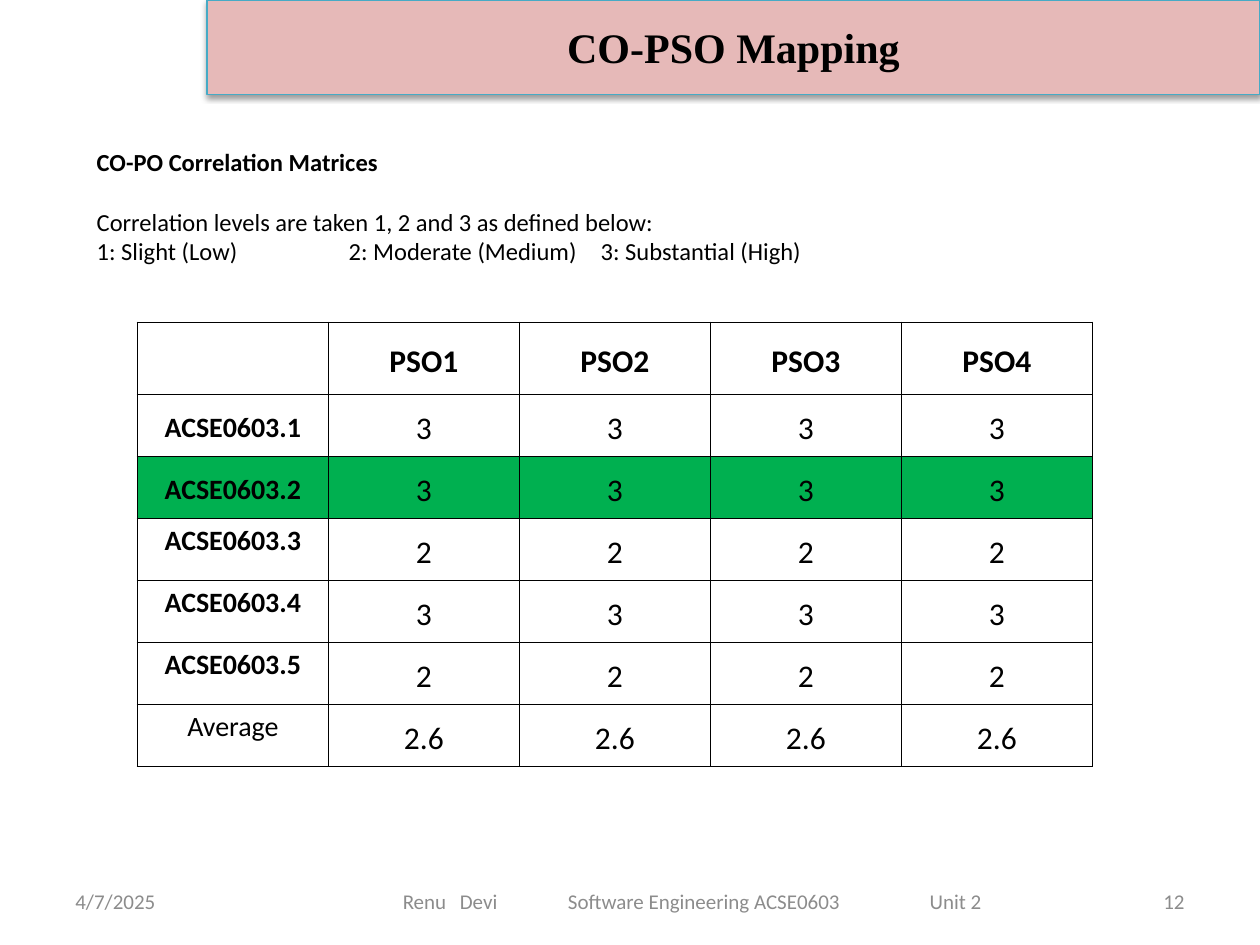
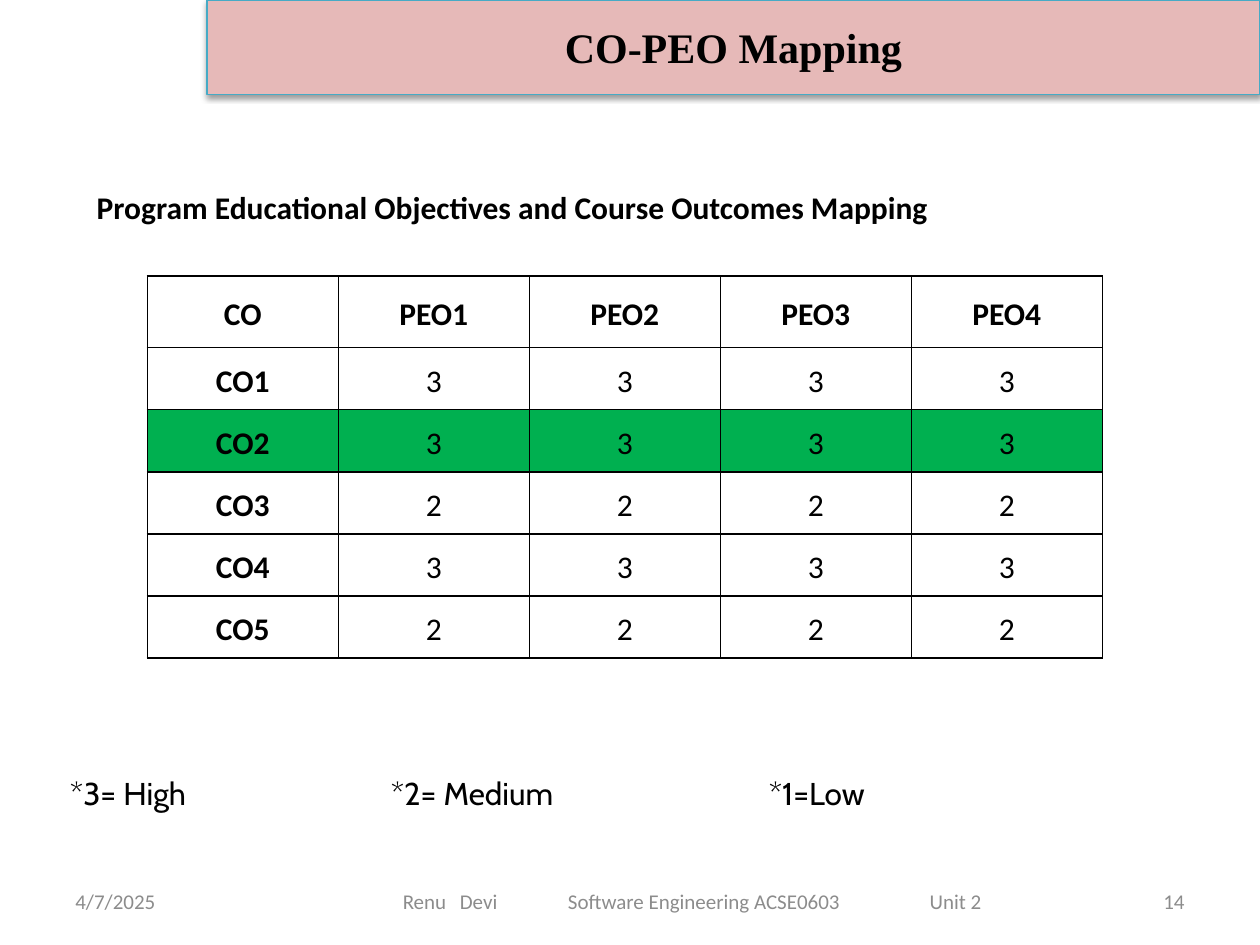
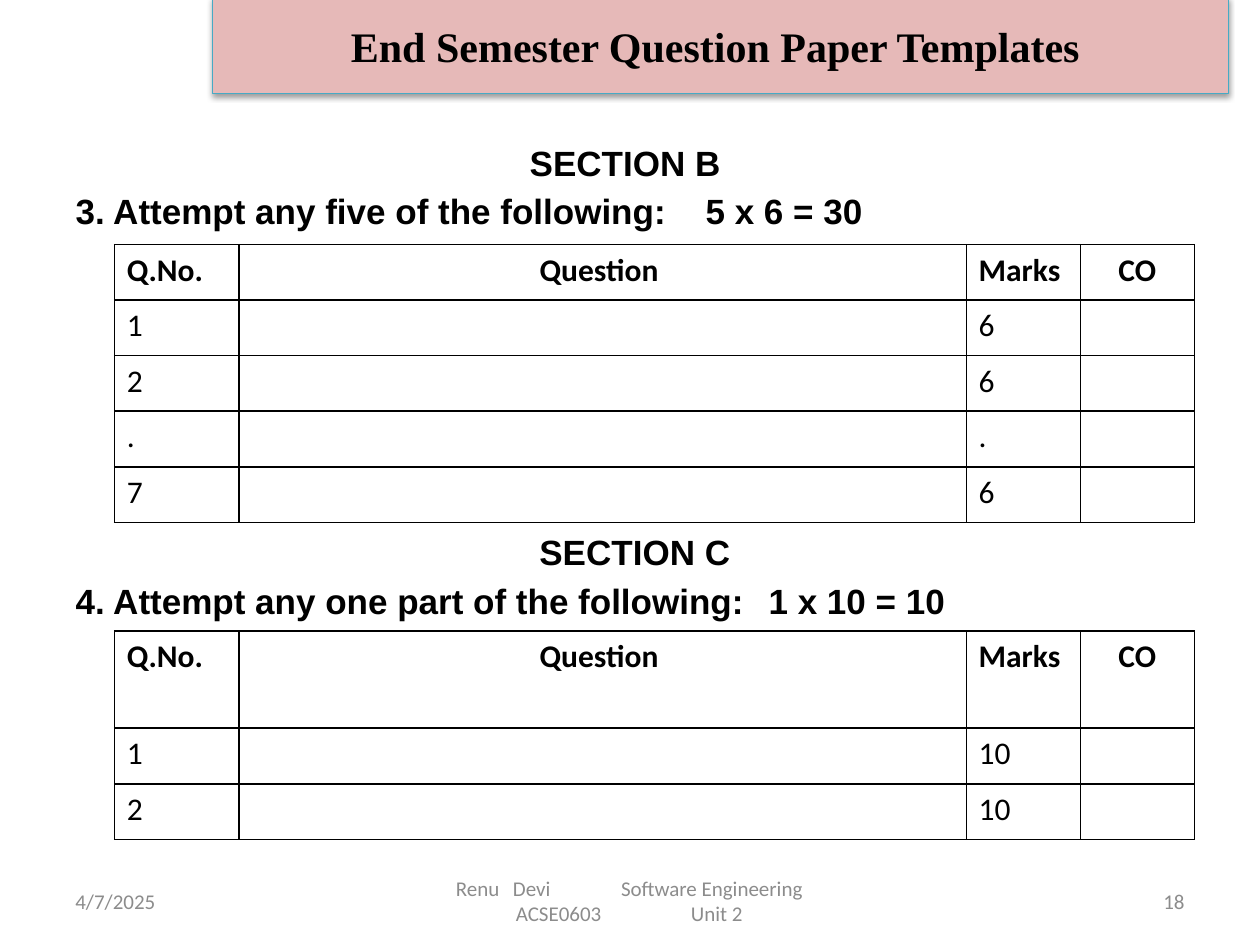
from lxml import etree
from pptx import Presentation
from pptx.dml.color import RGBColor
from pptx.enum.text import MSO_ANCHOR, MSO_AUTO_SIZE, PP_ALIGN
from pptx.oxml import parse_xml
from pptx.oxml.ns import nsdecls, qn
from pptx.util import Cm, Pt

LEFT, MID, RIGHT = PP_ALIGN.LEFT, PP_ALIGN.CENTER, PP_ALIGN.RIGHT
TOP, CENTRE = MSO_ANCHOR.TOP, MSO_ANCHOR.MIDDLE
FIXED = MSO_AUTO_SIZE.NONE

BLACK, WHITE, GREY = "000000", "FFFFFF", "8C8C8C"
PINK, TEAL, GREEN = "E6B9B8", "46AAC5", "00B050"

BAND = (4.17, 0, 21.23, 1.9)
FOOT_TOP, FOOT_TALL = 17.65, 1.02
PAD = (0.25, 0.13, 0.25, 0.13)
THIN = (0.18, 0, 0.18, 0)
NOTE = (0.76, 0.13, 0.25, 0)
LINE_STOPS = (1.15, 3.33, 10.62)
WIDE_FOOT = (6.98, 13.97, 1.14, [
    ("Renu\tDevi\tSoftware Engineering ACSE0603\tUnit 2", LINE_STOPS)])
SLIM_FOOT = (8.69, 8.05, 0.5, [
    ("Renu\tDevi\tSoftware Engineering", LINE_STOPS),
    ("\tACSE0603\tUnit 2", (1.21, 4.74))])


def paint(item, code):
    """Set a solid colour on a fill or a font colour."""
    if hasattr(item, "solid"):
        item.solid()
        item = item.fore_color
    item.rgb = RGBColor.from_string(code)


def write(frame, text, size=18, font="Calibri", color=BLACK, bold=False,
          align=LEFT, before=None, after=None, line=None, stops=(),
          plain=False):
    """Add one paragraph; stops are tab positions in cm, plain drops the bullet."""
    para = frame.add_paragraph() if frame.text else frame.paragraphs[0]
    para.alignment = align
    para.line_spacing = line
    if before is not None:
        para.space_before = Pt(before)
    if after is not None:
        para.space_after = Pt(after)
    props = para._p.get_or_add_pPr()
    if plain:
        props.set("marL", "0")
        props.set("indent", "0")
        etree.SubElement(props, qn("a:buNone"))
    if stops:
        tabs = etree.SubElement(props, qn("a:tabLst"))
        for stop in stops:
            etree.SubElement(tabs, qn("a:tab"), pos=str(Cm(stop)), algn="l")
    run = para.add_run()
    run.text = text
    run.font.size, run.font.name, run.font.bold = Pt(size), font, bold
    paint(run.font.color, color)


def inset(item, pad):
    """Set the margins of a text frame or a cell."""
    (item.margin_left, item.margin_top,
     item.margin_right, item.margin_bottom) = map(Cm, pad)


def place(shape, box):
    shape.left, shape.top, shape.width, shape.height = map(Cm, box)


def add_box(slide, box, pad=PAD):
    frame = slide.shapes.add_textbox(*map(Cm, box)).text_frame
    frame.word_wrap = True
    frame.vertical_anchor = CENTRE
    inset(frame, pad)
    return frame


def add_title(slide, text, box):
    """Turn the title placeholder into the shaded band."""
    title = slide.shapes.title
    place(title, box)
    paint(title.fill, PINK)
    paint(title.line.fill, TEAL)
    title.line.width = Pt(0.75)
    title.element.spPr.append(parse_xml(
        f'<a:effectLst {nsdecls("a")}><a:outerShdw blurRad="40000" '
        'dist="20000" dir="5400000" rotWithShape="0"><a:srgbClr val="000000">'
        '<a:alpha val="38000"/></a:srgbClr></a:outerShdw></a:effectLst>'))
    frame = title.text_frame
    frame.auto_size = FIXED
    frame.vertical_anchor = CENTRE
    write(frame, text, size=24, font="Times New Roman", bold=True, align=MID)


def add_foot(slide, number, foot):
    left, width, pad, lines = foot
    style = dict(size=12, color=GREY)
    date = add_box(slide, (1.27, FOOT_TOP, 5.92, FOOT_TALL))
    write(date, "4/7/2025", **style)
    page = add_box(slide, (18.21, FOOT_TOP, 5.92, FOOT_TALL))
    write(page, str(number), align=RIGHT, **style)
    course = add_box(slide, (left, FOOT_TOP, width, FOOT_TALL),
                     (pad, 0.13, 0, 0.13))
    for text, stops in lines:
        write(course, text, stops=stops, **style)


def start(deck, layout, title, number, band=BAND, foot=WIDE_FOOT):
    """Add a slide with its title band and footer."""
    slide = deck.slides.add_slide(deck.slide_layouts.get_by_name(layout))
    add_title(slide, title, band)
    add_foot(slide, number, foot)
    return slide


def edge(cell):
    """Draw a black line on each side of a cell."""
    props = cell._tc.get_or_add_tcPr()
    for side in "LRTB":
        props.append(parse_xml(
            f'<a:ln{side} {nsdecls("a")} w="12700"><a:solidFill>'
            f'<a:srgbClr val="{BLACK}"/></a:solidFill></a:ln{side}>'))


def add_grid(slide, left, top, cols, rows, data, style, pad, fills=None):
    """Add a ruled table; style(row, col) gives the anchor and text format."""
    frame = slide.shapes.add_table(len(rows), len(cols), Cm(left), Cm(top),
                                   Cm(sum(cols)), Cm(sum(rows)))
    table = frame.table
    table.first_row = table.horz_banding = False
    for col, width in zip(table.columns, cols):
        col.width = Cm(width)
    for row, height in zip(table.rows, rows):
        row.height = Cm(height)
    for r, line in enumerate(data):
        for c, text in enumerate(line):
            cell = table.cell(r, c)
            inset(cell, pad)
            edge(cell)
            paint(cell.fill, (fills or {}).get(r, WHITE))
            anchor, form = style(r, c)
            cell.vertical_anchor = anchor
            if text:
                write(cell.text_frame, text, **form)


def add_map(slide, left, top, head, names, marks, style):
    """Add a mapping table whose marks repeat across each row."""
    data = [head] + [[name] + [mark] * 4 for name, mark in zip(names, marks)]
    add_grid(slide, left, top, [3.85] * 5, [1.45] + [1.25] * len(names),
             data, style, THIN, {2: GREEN})


def peo_style(r, c):
    return CENTRE, dict(bold=r == 0 or c == 0, align=MID, line=1.15)


def pso_style(r, c):
    anchor, form = peo_style(r, c)
    if r and c == 0:
        form.update(size=16, after=10, bold=r < 6)
        anchor = CENTRE if r < 3 else TOP
    return anchor, form


def paper_style(r, c):
    return TOP, dict(bold=r == 0, align=MID if c in (1, 3) else LEFT)


def add_paper(slide, top, tall, rows):
    """Add a question table from pairs of number and marks."""
    data = [["Q.No.", "Question ", "Marks", "CO"]]
    data += [[number, "", marks, ""] for number, marks in rows]
    add_grid(slide, 2.31, top, [2.51, 14.66, 2.3, 2.3],
             [tall] + [1.12] * len(rows), data, paper_style, PAD)


def pso_slide(deck):
    slide = start(deck, "Title Only", "CO-PSO Mapping", 12)
    note = add_box(slide, (1.19, 2.84, 21.64, 2.51), NOTE)
    write(note, "CO-PO Correlation Matrices", size=14, bold=True)
    write(note, "Correlation levels are taken 1, 2 and 3 as defined below:",
          size=14, before=17)
    write(note, "1: Slight (Low)\t2: Moderate (Medium)\t3: Substantial (High)",
          size=14, stops=(5.08, 10.16))
    names = [f"ACSE0603.{n}" for n in range(1, 6)] + ["Average"]
    add_map(slide, 2.77, 6.5, [""] + [f"PSO{n}" for n in range(1, 5)],
            names, ["3", "3", "2", "3", "2", "2.6"], pso_style)


def peo_slide(deck):
    slide = start(deck, "Title Only", "CO-PEO Mapping", 14)
    key = add_box(slide, (0, 15.47, 24.82, 1.02), (1.41, 0.13, 0.25, 0.13))
    write(key, "*3= High\t*2= Medium\t*1=Low", font="Cabin",
          stops=(6.47, 14.09))
    note = add_box(slide, (1.19, 3.66, 21.64, 0.89), NOTE)
    write(note, "Program Educational Objectives and Course Outcomes Mapping",
          bold=True)
    add_map(slide, 2.97, 5.56, ["CO"] + [f"PEO{n}" for n in range(1, 5)],
            [f"CO{n}" for n in range(1, 6)], "33232", peo_style)


def paper_slide(deck):
    slide = start(deck, "Title and Content",
                  "End Semester Question Paper Templates ", 18,
                  (4.29, -0.05, 20.47, 1.93), SLIM_FOOT)
    body = slide.placeholders[1]
    place(body, (1.27, 2.72, 22.86, 13.89))
    frame = body.text_frame
    frame.auto_size = FIXED
    parts = [
        ("SECTION B ", MID, 3.6, ()),
        ("3. Attempt any five of the following:\t5 x 6 = 30",
         LEFT, 3.6, (17.98,)),
        (" SECTION C", MID, 171, ()),
        ("4. Attempt any one part of the following:\t1 x 10 = 10",
         LEFT, 3.6, (18.57,)),
    ]
    for text, align, before, stops in parts:
        write(frame, text, size=20, font="Arial", bold=True, align=align,
              before=before, stops=stops, plain=True)
    add_paper(slide, 4.93, 1.12,
              [("1", "6"), ("2", "6"), (".", "."), ("7", "6")])
    add_paper(slide, 12.72, 1.96, [("1", "10"), ("2", "10")])


def main():
    deck = Presentation()
    deck.slide_width, deck.slide_height = Cm(25.4), Cm(19.05)
    pso_slide(deck)
    peo_slide(deck)
    paper_slide(deck)
    deck.save("out.pptx")


if __name__ == "__main__":
    main()
